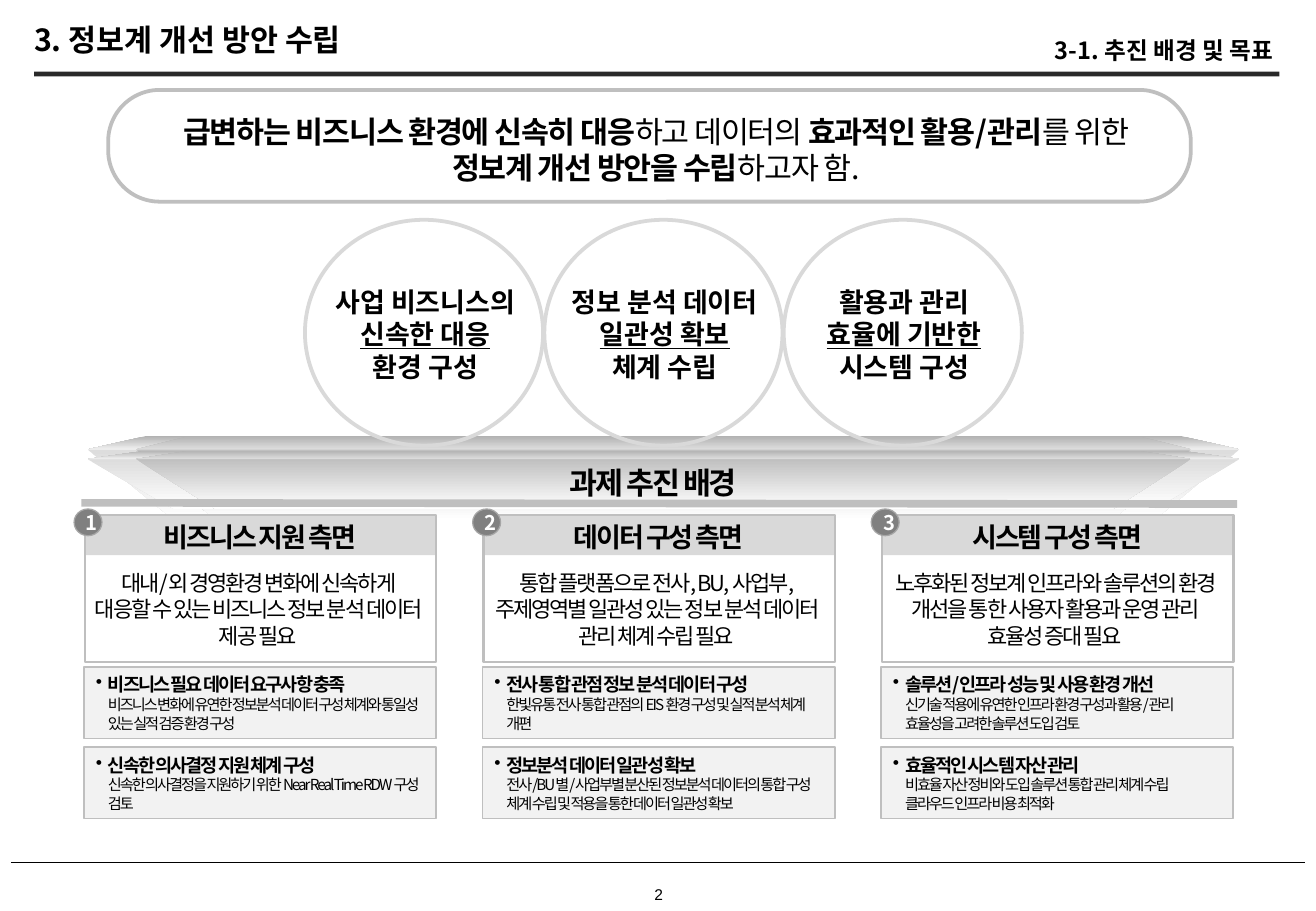
"""Build the slide on the background and goals of the information system plan."""
from lxml import etree
from pptx import Presentation
from pptx.dml.color import RGBColor
from pptx.enum.shapes import MSO_CONNECTOR, MSO_SHAPE
from pptx.enum.text import MSO_ANCHOR, MSO_AUTO_SIZE, PP_ALIGN
from pptx.oxml.ns import qn
from pptx.util import Inches, Pt

LEFT, CENTER, RIGHT = PP_ALIGN.LEFT, PP_ALIGN.CENTER, PP_ALIGN.RIGHT
TOP, MIDDLE = MSO_ANCHOR.TOP, MSO_ANCHOR.MIDDLE
GROW, FIXED = MSO_AUTO_SIZE.SHAPE_TO_FIT_TEXT, MSO_AUTO_SIZE.NONE
RECTANGLE, ROUNDED, OVAL = MSO_SHAPE.RECTANGLE, MSO_SHAPE.ROUNDED_RECTANGLE, MSO_SHAPE.OVAL
CONNECTOR_CIRCLE, STRAIGHT = MSO_SHAPE.FLOWCHART_CONNECTOR, MSO_CONNECTOR.STRAIGHT
KOREAN = "Noto Sans CJK KR"

deck = Presentation()
deck.slide_width, deck.slide_height = Inches(10.83), Inches(7.5)
page = deck.slides.add_slide(deck.slide_layouts[5])
shapes = page.shapes
color = RGBColor.from_string


def write(box, text, size, bold=False, font=KOREAN, ink="000000", align=CENTER, anchor=TOP,
          spacing=0, after=0, line=None, bullet=False, tight=False, auto_size=GROW):
    """Fill a box with one text, or with (text, overrides) spans."""
    frame = box.text_frame
    frame.word_wrap, frame.auto_size, frame.vertical_anchor = not tight, auto_size, anchor
    side, edge = (0, 0) if tight else (Inches(0.1), Inches(0.05))
    frame.margin_left = frame.margin_right = side
    frame.margin_top = frame.margin_bottom = edge
    para = frame.paragraphs[0]
    para.alignment, para.space_after = align, Pt(after)
    if line:
        para.line_spacing = line
    if bullet:
        properties = para._p.get_or_add_pPr()
        properties.set("marL", str(Inches(0.1)))
        properties.set("indent", str(-Inches(0.1)))
        etree.SubElement(properties, qn("a:buChar")).set("char", "•")
    for content, overrides in [(text, {})] if isinstance(text, str) else text:
        for index, piece in enumerate(content.split("\n")):
            if index:
                para.add_line_break()
            if not piece:
                continue
            span = para.add_run()
            span.text = piece
            span.font.size = Pt(overrides.get("size", size))
            span.font.bold = overrides.get("bold", bold)
            span.font.underline = overrides.get("underline", False)
            span.font.color.rgb = color(ink)
            span.font.name = font
            run_properties = span.font._element
            etree.SubElement(run_properties, qn("a:ea")).set("typeface", font)
            if spacing:
                run_properties.set("spc", str(round(spacing * 100)))


def draw(kind, left, top, width, height, fill=None, outline=None, weight=1):
    """Add a preset shape, a connector (kind STRAIGHT) or a text box (kind None)."""
    place = [Inches(value) for value in (left, top, width, height)]
    if kind is None:
        return shapes.add_textbox(*place)
    if kind is STRAIGHT:
        shape = shapes.add_connector(kind, place[0], place[1],
                                     place[0] + place[2], place[1] + place[3])
        etree.SubElement(shape._element.spPr, qn("a:effectLst"))
    else:
        shape = shapes.add_shape(kind, *place)
        shape.shadow.inherit = False
        if fill:
            shape.fill.solid()
            shape.fill.fore_color.rgb = color(fill)
        else:
            shape.fill.background()
    if outline:
        shape.line.color.rgb = color(outline)
        shape.line.width = Pt(weight)
    else:
        shape.line.fill.background()
    return shape


title = shapes.title
title.left, title.top, title.width, title.height = [Inches(v) for v in (0.28, 0.21, 2.84, 0.27)]
write(title, "3. 정보계 개선 방안 수립", 18, bold=True, align=LEFT, anchor=MIDDLE,
      line=0.9, tight=True)
write(draw(None, 8.47, 0.32, 2.01, 0.21), "3-1. 추진 배경 및 목표", 14, bold=True,
      align=RIGHT, anchor=MIDDLE, line=0.9, tight=True)
draw(RECTANGLE, 0.28, 0.59, 10.25, 0.04, fill="292929")
draw(STRAIGHT, 0.09, 7.1, 10.65, 0, outline="000000")
write(draw(None, 5.34, 7.28, 0.16, 0.16), "2", 9.2, font="Arial", anchor=MIDDLE, tight=True)

banner = draw(ROUNDED, 0.89, 0.74, 8.91, 0.92, outline="BFBFBF", weight=2.25)
banner.adjustments[0] = 0.46
write(draw(None, 1.17, 0.88, 8.46, 0.71), [
    ("급변하는 비즈니스 환경에 신속히 대응", {"bold": True}),
    ("하고 데이터의 ", {}),
    ("효과적인 활용/관리", {"bold": True}),
    ("를 위한", {}),
    (" 정보계 개선 방안을 수립", {"bold": True}),
    ("하고자 함.", {}),
], 18, spacing=-0.7, after=3)

TRAYS = [(3.59, 3.7, 4.28), (3.71, 3.78, 4.19)]
TRAY_LAYERS = [
    ((0.72, 10.2), (1.2, 9.72), (1.43, 9.5), "F0F0F0", "DDDDDD"),
    ((1.12, 9.8), (1.56, 9.36), (1.77, 9.16), "DDDDDD", "C0C0C0"),
]
for back, rim, front in TRAYS:
    for rim_span, back_span, front_span, lid_shade, face_shade in TRAY_LAYERS:
        for edge_span, edge, shades in [(front_span, front, (face_shade, "FFFFFF")),
                                        (back_span, back, ("B2B2B2", lid_shade))]:
            corners = [(rim_span[0], rim), (edge_span[0], edge),
                       (edge_span[1], edge), (rim_span[1], rim)]
            points = [(Inches(x), Inches(y)) for x, y in corners]
            builder = shapes.build_freeform(*points[0])
            builder.add_line_segments(points[1:])
            slab = builder.convert_to_shape()
            slab.shadow.inherit = False
            slab.line.fill.background()
            slab.fill.gradient()
            slab.fill.gradient_angle = 270
            for stop, shade in zip(slab.fill.gradient_stops, shades):
                stop.color.rgb = color(shade)
            slab.fill.gradient_stops[0].position = 0
            slab.fill.gradient_stops[1].position = 1

GOALS = [
    ("사업 비즈니스의", "신속한 대응", "환경 구성"),
    ("정보 분석 데이터", "일관성 확보", "체계 수립"),
    ("활용과 관리", "효율에 기반한", "시스템 구성"),
]
for index, (subject, key, result) in enumerate(GOALS):
    left = 2.51 + 1.97 * index
    draw(CONNECTOR_CIRCLE, left, 1.81, 1.96, 1.86, outline="D9D9D9", weight=2.25)
    write(draw(None, left - 0.07, 2.3, 2.12, 0.91),
          [(subject + "\n", {}), (key, {"underline": True}), ("\n" + result, {})],
          16, bold=True, after=6)

draw(STRAIGHT, 0.67, 4.14, 9.51, 0.01, outline="BFBFBF", weight=4.5)
write(draw(None, 3.77, 3.81, 3.21, 0.33), "과제 추진 배경", 18, bold=True, anchor=MIDDLE,
      spacing=-1.2, auto_size=FIXED)

ASPECTS = [
    ("비즈니스 지원 측면",
     "대내/외 경영환경 변화에 신속하게 대응할 수 있는 비즈니스 정보 분석 데이터 제공 필요",
     [("비즈니스 필요 데이터 요구사항 충족",
       "비즈니스 변화에 유연한 정보분석 데이터 구성 체계와 통일성 있는 실적 검증 환경 구성"),
      ("신속한 의사결정 지원 체계 구성",
       "신속한 의사결정을 지원하기 위한 Near Real Time RDW 구성 검토")]),
    ("데이터 구성 측면",
     "통합 플랫폼으로 전사, BU, 사업부, 주제영역별 일관성 있는 정보 분석 데이터 관리 체계 수립 필요",
     [("전사 통합 관점 정보 분석 데이터 구성",
       "한빛유통 전사 통합 관점의 EIS 환경 구성 및 실적 분석 체계 개편"),
      ("정보분석 데이터 일관성 확보",
       "전사/BU별/사업부별 분산된 정보분석 데이터의 통합 구성 체계 수립 및 적용을 통한 데이터 일관성 확보")]),
    ("시스템 구성 측면",
     "노후화된 정보계 인프라와 솔루션의 환경 개선을 통한 사용자 활용과 운영 관리 효율성 증대 필요",
     [("솔루션/인프라 성능 및 사용 환경 개선",
       "신기술 적용에 유연한 인프라 환경 구성과 활용/관리 효율성을 고려한 솔루션 도입 검토"),
      ("효율적인 시스템 자산 관리",
       "비효율 자산 정비와 도입 솔루션 통합 관리 체계 수립\n클라우드 인프라 비용 최적화")]),
]
for index, (heading, need, tasks) in enumerate(ASPECTS):
    left = 0.7 + 3.28 * index
    draw(RECTANGLE, left, 4.24, 2.89, 0.33, fill="D9D9D9")
    draw(RECTANGLE, left, 4.24, 2.89, 1.21, outline="BFBFBF", weight=1.5)
    write(draw(None, left, 4.24, 2.88, 0.37), heading, 16, bold=True, spacing=-1.2, after=3)
    write(draw(None, left - 0.02, 4.64, 2.88, 0.76), need, 13, spacing=-1.2, after=3)
    badge = draw(OVAL, left - 0.09, 4.19, 0.23, 0.22, fill="808080", outline="A6A6A6", weight=0.75)
    write(badge, str(index + 1), 12, bold=True, ink="FFFFFF", anchor=MIDDLE, spacing=-1.2,
          after=3, auto_size=FIXED)
    for row, (task, detail) in enumerate(tasks):
        card = draw(RECTANGLE, left - 0.01, 5.49 + 0.66 * row, 2.9, 0.59,
                    fill="F2F2F2", outline="BFBFBF")
        write(card, [(task + "\n", {"bold": True}), (detail, {"size": 9})], 11, align=LEFT,
              anchor=MIDDLE, spacing=-1.2, after=3, bullet=True, auto_size=FIXED)

deck.save("out.pptx")
